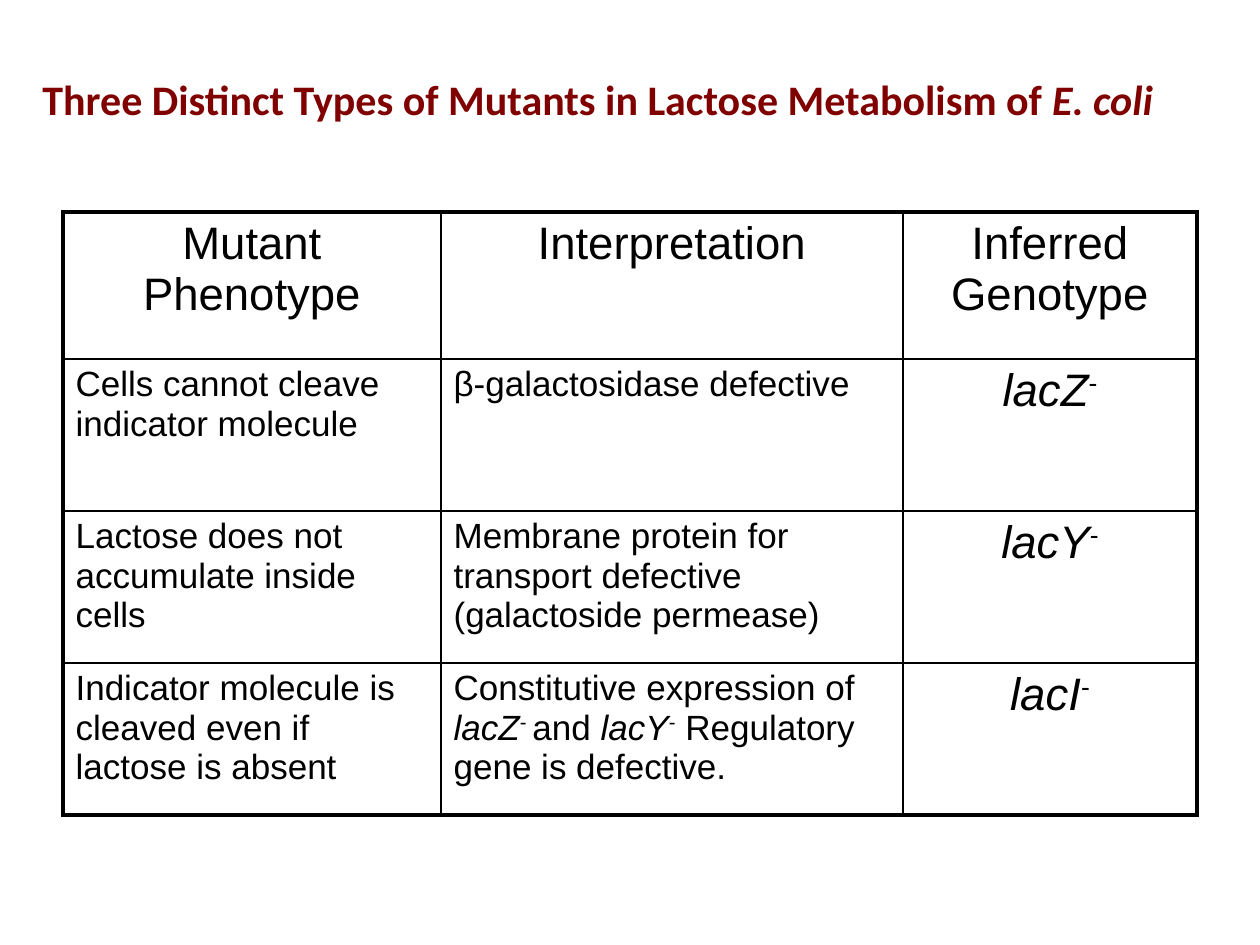
import lxml.etree
import pptx
import pptx.dml.color
import pptx.enum.text
import pptx.oxml.ns
import pptx.util

PX = 914400 / 126
BLACK = pptx.dml.color.RGBColor(0x00, 0x00, 0x00)
MAROON = pptx.dml.color.RGBColor(0x80, 0x00, 0x00)
WHITE = pptx.dml.color.RGBColor(0xFF, 0xFF, 0xFF)
ALIGN = pptx.enum.text.PP_ALIGN

PLAIN, ITALIC, SUPER = {}, {"italic": True}, {"baseline": 30000}
TITLE = [
    ("Three Distinct Types of Mutants in Lactose Metabolism of ", PLAIN),
    ("E. coli", ITALIC),
]
TITLE_FORMAT = {"name": "Calibri", "size": pptx.util.Pt(24), "bold": True, "color": MAROON}
LARGE_FORMAT = {"name": "Arial", "size": pptx.util.Pt(26), "bold": False, "color": BLACK}
BODY_FORMAT = {**LARGE_FORMAT, "size": pptx.util.Pt(20)}

COLUMN_WIDTHS = [378, 462, 294]
ROW_HEIGHTS = [147, 152, 152, 152]


def gene(name):
    """Return the runs for a mutant gene with its superscript minus."""
    return [(name, ITALIC), ("-", SUPER)]


ROWS = [
    [[("Mutant Phenotype", PLAIN)], [("Interpretation", PLAIN)], [("Inferred Genotype", PLAIN)]],
    [
        [("Cells cannot cleave indicator molecule", PLAIN)],
        [("β-galactosidase defective", PLAIN)],
        gene("lacZ"),
    ],
    [
        [("Lactose does not accumulate inside cells", PLAIN)],
        [("Membrane protein for transport defective (galactoside permease)", PLAIN)],
        gene("lacY"),
    ],
    [
        [("Indicator molecule is cleaved even if lactose is absent", PLAIN)],
        [
            ("Constitutive expression of ", PLAIN),
            ("lacZ", ITALIC),
            ("- ", SUPER),
            ("and ", PLAIN),
            *gene("lacY"),
            (" Regulatory gene is defective.", PLAIN),
        ],
        gene("lacI"),
    ],
]


def px(length):
    """Turn a length in px into EMU."""
    return pptx.util.Emu(round(length * PX))


def write_runs(paragraph, runs, base_format):
    """Fill a paragraph with runs that vary one base format."""
    for text, variation in runs:
        run = paragraph.add_run()
        run.text = text
        for key, value in {**base_format, **variation}.items():
            if key == "color":
                run.font.color.rgb = value
            elif key == "baseline":
                run.font._element.set("baseline", str(value))
            else:
                setattr(run.font, key, value)


def set_borders(cell, widths):
    """Draw the left, right, top and bottom borders of a cell in black."""
    properties = cell._tc.get_or_add_tcPr()
    for index, (side, width) in enumerate(widths.items()):
        line = lxml.etree.Element(pptx.oxml.ns.qn(f"a:{side}"), w=str(pptx.util.Pt(width)))
        fill = lxml.etree.SubElement(line, pptx.oxml.ns.qn("a:solidFill"))
        lxml.etree.SubElement(fill, pptx.oxml.ns.qn("a:srgbClr"), val=str(BLACK))
        properties.insert(index, line)


def add_title(slide, left, top, width, height):
    """Place the one-line title in the given box."""
    shape = slide.shapes.add_textbox(px(left), px(top), px(width), px(height))
    shape.text_frame.word_wrap = False
    shape.text_frame.auto_size = pptx.enum.text.MSO_AUTO_SIZE.SHAPE_TO_FIT_TEXT
    write_runs(shape.text_frame.paragraphs[0], TITLE, TITLE_FORMAT)


def add_mutant_table(slide, left, top):
    """Place the table of mutants with a heavy outer frame."""
    last_row, last_column = len(ROWS) - 1, len(COLUMN_WIDTHS) - 1
    table = slide.shapes.add_table(
        len(ROWS), len(COLUMN_WIDTHS), px(left), px(top),
        px(sum(COLUMN_WIDTHS)), px(sum(ROW_HEIGHTS)),
    ).table
    table.first_row = table.horz_banding = False
    for column, width in zip(table.columns, COLUMN_WIDTHS):
        column.width = px(width)
    for row_index, (row, height) in enumerate(zip(table.rows, ROW_HEIGHTS)):
        row.height = px(height)
        for column_index, cell in enumerate(row.cells):
            large = row_index == 0 or column_index == last_column
            cell.fill.solid()
            cell.fill.fore_color.rgb = WHITE
            outer_sides = {
                "lnL": column_index == 0,
                "lnR": column_index == last_column,
                "lnT": row_index == 0,
                "lnB": row_index == last_row,
            }
            set_borders(cell, {side: 2.25 if outer else 1 for side, outer in outer_sides.items()})
            paragraph = cell.text_frame.paragraphs[0]
            paragraph.alignment = ALIGN.CENTER if large else ALIGN.LEFT
            write_runs(paragraph, ROWS[row_index][column_index], LARGE_FORMAT if large else BODY_FORMAT)


def main():
    """Build and save the slide."""
    presentation = pptx.Presentation()
    presentation.slide_width, presentation.slide_height = px(1260), px(945)
    slide = presentation.slides.add_slide(presentation.slide_layouts[6])
    add_mutant_table(slide, 63, 212)
    add_title(slide, 30, 67, 1159, 63)
    presentation.save("out.pptx")


if __name__ == "__main__":
    main()
